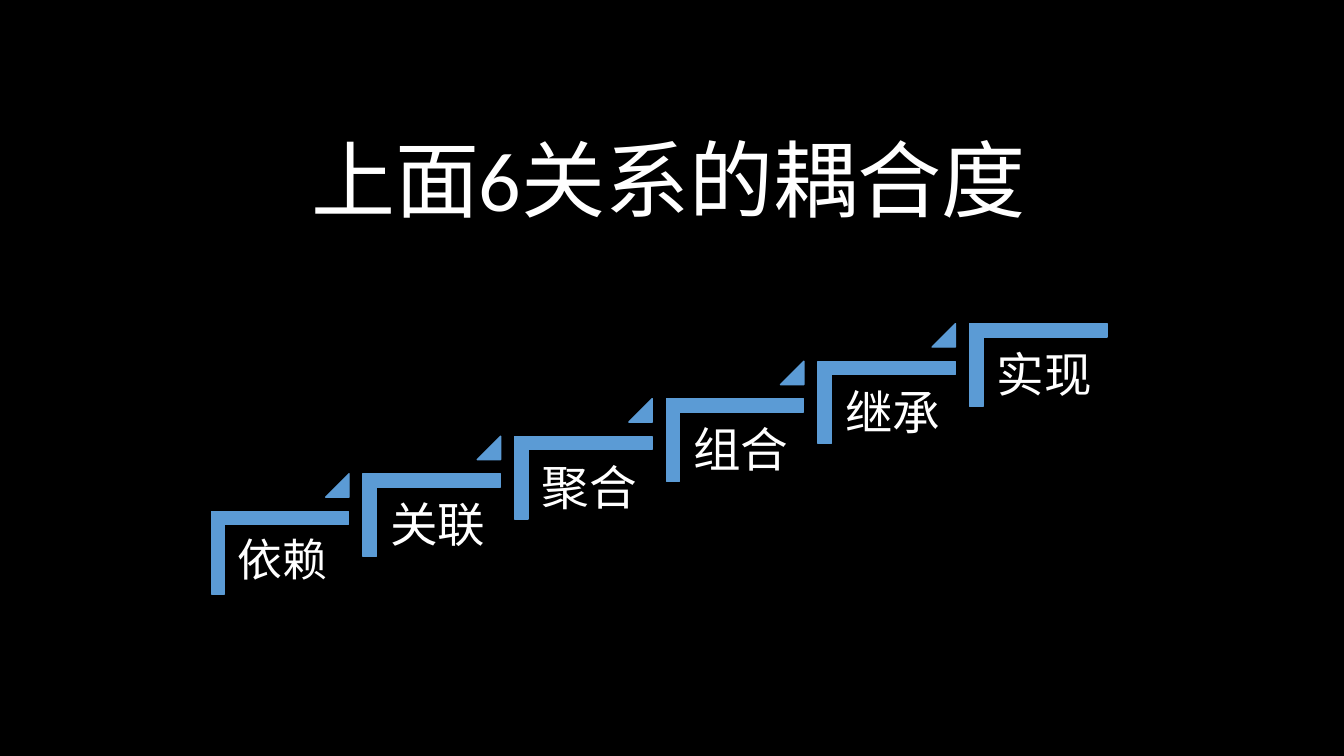
from pptx import Presentation
from pptx.dml.color import RGBColor
from pptx.enum.shapes import MSO_SHAPE
from pptx.enum.text import MSO_ANCHOR, MSO_AUTO_SIZE, PP_ALIGN
from pptx.util import Pt

TITLE = "上面6关系的耦合度"
STEPS = [("依赖", 32), ("关联", 34), ("聚合", 34), ("组合", 34), ("继承", 34), ("实现", 34)]
BLUE, WHITE, BLACK = "5B9BD5", "FFFFFF", "000000"
LEFT, TOP = 160.6, 338.4
RUN, RISE = 108.3, 26.8


def color(hex_value):
    return RGBColor.from_string(hex_value)


def write(shape, text, size, align=PP_ALIGN.LEFT, inset=(7.2, 3.6), spacing=1.0, after=0):
    tf = shape.text_frame
    tf.word_wrap = True
    tf.vertical_anchor = MSO_ANCHOR.TOP
    tf.margin_left = tf.margin_right = Pt(inset[0])
    tf.margin_top = tf.margin_bottom = Pt(inset[1])
    p = tf.paragraphs[0]
    p.alignment = align
    p.line_spacing = spacing
    p.space_after = Pt(after)
    r = p.add_run()
    r.text = text
    r.font.size = Pt(size)
    r.font.name = "Calibri"
    r.font.color.rgb = color(WHITE)
    return tf


def add_blue(shapes, kind, x, y, w, h, adjustments):
    sp = shapes.add_shape(kind, Pt(x), Pt(y), Pt(w), Pt(h))
    sp.shadow.inherit = False
    sp.fill.solid()
    sp.fill.fore_color.rgb = color(BLUE)
    sp.line.color.rgb = color(BLUE)
    sp.line.width = Pt(1)
    for i, value in enumerate(adjustments):
        sp.adjustments[i] = value
    return sp


prs = Presentation()
prs.slide_width, prs.slide_height = Pt(960), Pt(540)
s = prs.slides.add_slide(prs.slide_layouts[5])
s.background.fill.solid()
s.background.fill.fore_color.rgb = color(BLACK)

title = s.shapes.title
title.left, title.top, title.width, title.height = Pt(0), Pt(87.8), Pt(954.7), Pt(80)
write(title, TITLE, 60, align=PP_ALIGN.CENTER).auto_size = MSO_AUTO_SIZE.SHAPE_TO_FIT_TEXT

stairs = s.shapes.add_group_shape().shapes
for i, (name, size) in enumerate(STEPS):
    x, y = LEFT + i * RUN, TOP - i * RISE
    corner = add_blue(stairs, MSO_SHAPE.CORNER, x + 10, y + 7.3, 59, 98, (0.16, 0.16))
    corner.rotation = 90
    label = stairs.add_textbox(Pt(x), Pt(y + 36.8), Pt(88.6), Pt(77.8))
    inset = size * 0.29
    write(label, name, size, inset=(inset, inset), spacing=0.9, after=size * 0.35)
    if i < len(STEPS) - 1:
        add_blue(stairs, MSO_SHAPE.ISOSCELES_TRIANGLE, x + 72, y, 16.7, 16.7, (1,))

prs.save("out.pptx")
